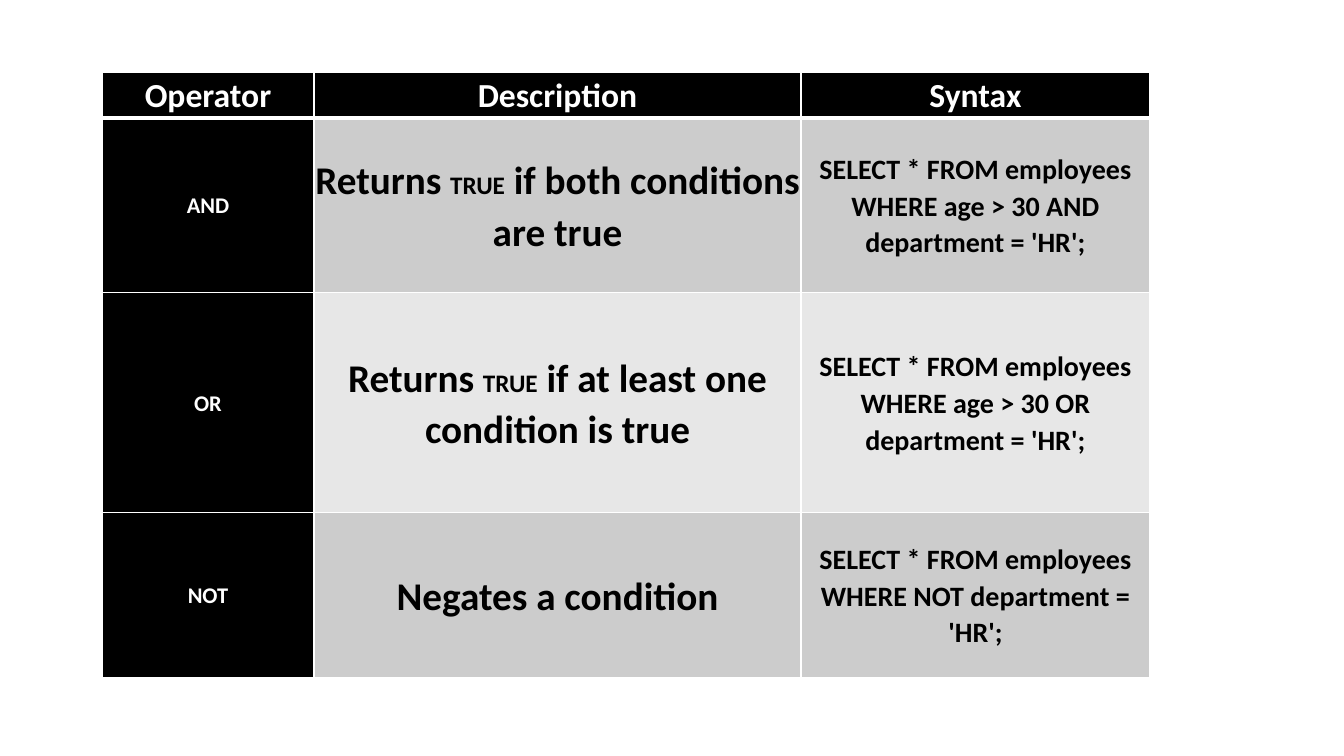
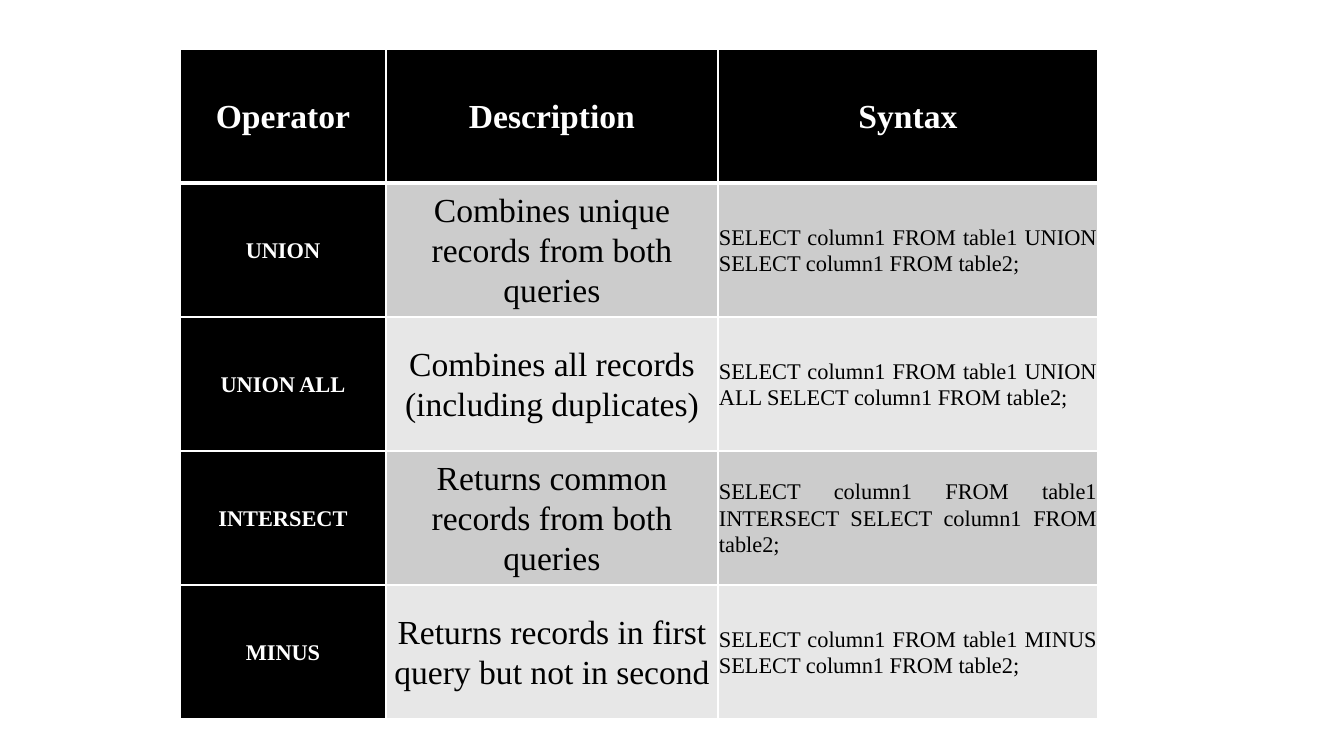
from pptx import Presentation, util as u
from pptx.dml.color import RGBColor
from pptx.enum import text
from pptx.oxml import parse_xml
from pptx.oxml.ns import nsdecls

PX = 12192000 / 1344
COLORS = {"dark": "000000", "light": "FFFFFF", "band_a": "CCCCCC", "band_b": "E7E7E7"}
HEADINGS = ("Operator", "Description", "Syntax")
HEADING_SIZE = 24
CENTER, JUSTIFY = text.PP_ALIGN.CENTER, text.PP_ALIGN.JUSTIFY

# Per slide: font, then (size, bold, alignment) for each body column
LOGICAL_STYLE = {
    "font": "Calibri",
    "columns": ((16, True, CENTER), (28, True, CENTER), (20, True, CENTER)),
}
SET_STYLE = {
    "font": "Times New Roman",
    "columns": ((16, True, CENTER), (24, False, CENTER), (16, False, JUSTIFY)),
}

# A cell is a string, or a list of (text, size) runs
LOGICAL_ROWS = [
    ("AND",
     [("Returns ", 28), ("TRUE", 18), (" if both conditions are true", 28)],
     "SELECT * FROM employees WHERE age > 30 AND department = 'HR';"),
    ("OR",
     [("Returns ", 28), ("TRUE", 18), (" if at least one condition is true", 28)],
     "SELECT * FROM employees WHERE age > 30 OR department = 'HR';"),
    ("NOT",
     "Negates a condition",
     "SELECT * FROM employees WHERE NOT department = 'HR';"),
]
SET_DESCRIPTIONS = {
    "UNION": "Combines unique records from both queries",
    "UNION ALL": "Combines all records (including duplicates)",
    "INTERSECT": "Returns common records from both queries",
    "MINUS": "Returns records in first query but not in second",
}
SET_ROWS = [
    (name, description, f"SELECT column1 FROM table1 {name} SELECT column1 FROM table2;")
    for name, description in SET_DESCRIPTIONS.items()
]


def px(n):
    return u.Emu(round(n * PX))


def rgb(name):
    return RGBColor.from_string(COLORS[name])


def set_borders(cell, top, bottom):
    """White rules; widths in points, 1 pt at the sides."""
    tcPr = cell._tc.get_or_add_tcPr()
    for side, width in (("L", 1), ("R", 1), ("T", top), ("B", bottom)):
        tcPr.append(parse_xml(
            f'<a:ln{side} {nsdecls("a")} w="{u.Pt(width)}"><a:solidFill>'
            f'<a:srgbClr val="{COLORS["light"]}"/></a:solidFill></a:ln{side}>'))


def fill_cell(cell, content, font, size, bold, align, color, fill):
    cell.fill.solid()
    cell.fill.fore_color.rgb = rgb(fill)
    cell.vertical_anchor = text.MSO_ANCHOR.MIDDLE
    cell.margin_left = cell.margin_right = px(1)
    cell.margin_top = cell.margin_bottom = px(1)
    p = cell.text_frame.paragraphs[0]
    p.alignment, p.line_spacing, p.space_after = align, 1.07, u.Pt(8)
    runs = [(content, size)] if isinstance(content, str) else content
    for run_text, run_size in runs:
        r = p.add_run()
        r.text = run_text
        r.font.name, r.font.size, r.font.bold = font, u.Pt(run_size), bold
        r.font.color.rgb = rgb(color)


def operator_slide(prs, left, top, widths, heights, records, style):
    s = prs.slides.add_slide(prs.slide_layouts[6])
    table = s.shapes.add_table(len(heights), len(widths), px(left), px(top),
                               px(sum(widths)), px(sum(heights))).table
    table.first_row = table.horz_banding = False
    for column, width in zip(table.columns, widths):
        column.width = px(width)
    for row, height in zip(table.rows, heights):
        row.height = px(height)

    for i, record in enumerate([HEADINGS, *records]):
        for j, content in enumerate(record):
            cell = table.cell(i, j)
            # Thick rule between the header and the body
            set_borders(cell, 3 if i == 1 else 1, 3 if i == 0 else 1)
            size, bold, align = style["columns"][j]
            if i == 0:
                size, bold, align = HEADING_SIZE, True, CENTER
            if i == 0 or j == 0:
                color, fill = "light", "dark"
            else:
                color, fill = "dark", "band_a" if i % 2 else "band_b"
            fill_cell(cell, content, style["font"], size, bold, align, color, fill)


def main():
    prs = Presentation()
    prs.slide_width, prs.slide_height = px(1344), px(756)
    # Logical operators
    operator_slide(prs, 102, 72, (212, 487, 349), (44, 175, 220, 165),
                   LOGICAL_ROWS, LOGICAL_STYLE)
    # Set operators
    operator_slide(prs, 180, 49, (206, 332, 380), (134,) * 5, SET_ROWS, SET_STYLE)
    prs.save("out.pptx")


if __name__ == "__main__":
    main()
